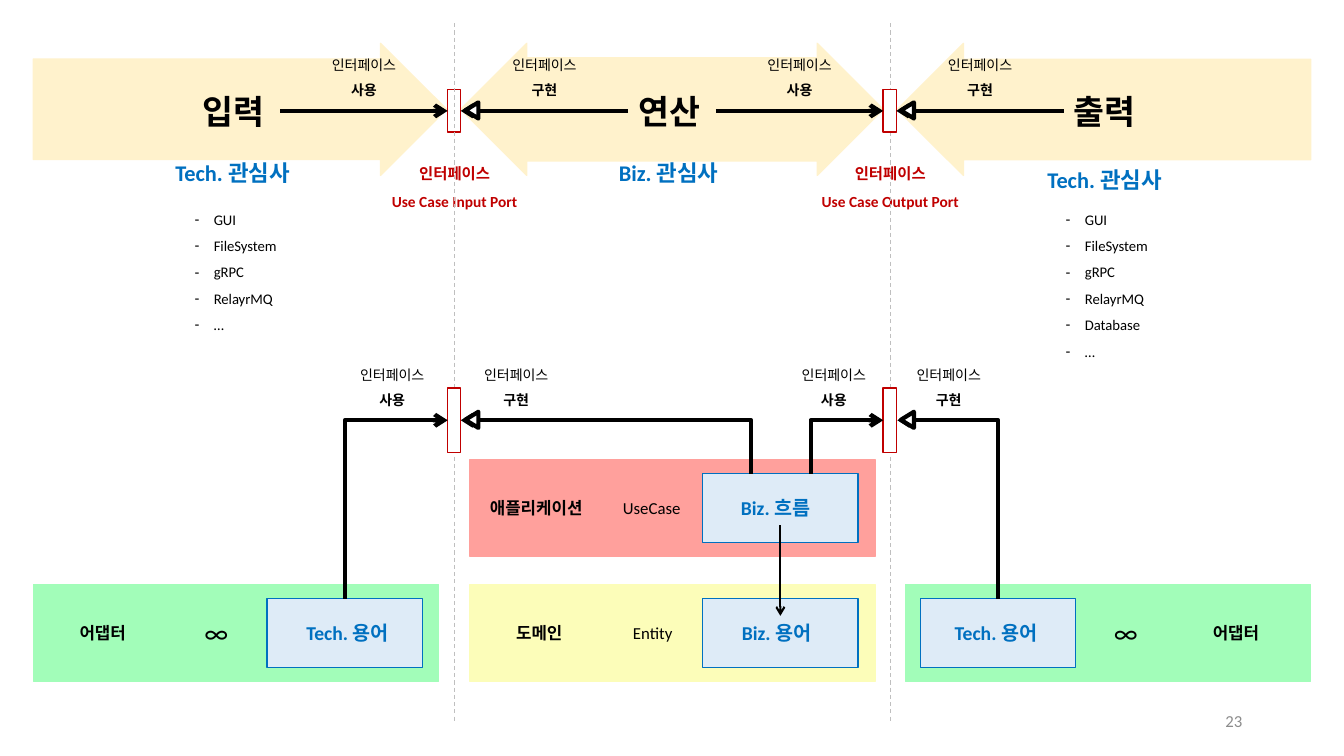
from lxml.etree import SubElement
from pptx import Presentation
from pptx.dml.color import RGBColor
from pptx.enum.dml import MSO_LINE
from pptx.enum.shapes import MSO_CONNECTOR, MSO_SHAPE
from pptx.enum.text import MSO_ANCHOR, MSO_AUTO_SIZE, PP_ALIGN
from pptx.oxml.ns import qn
from pptx.util import Inches, Pt

HUES = {
    "black": "000000", "white": "FFFFFF", "blue": "0070C0", "red": "C00000",
    "cream": "FFF2CC", "green": "A2FDB9", "lemon": "FCFDB9", "rose": "FFA09C",
    "sky": "DEEBF7", "dash": "BFBFBF", "gray": "8C8C8C",
}
FONT = "Calibri"
STEP = 43.2
AXIS = 45.1
MID = 11
BEND = 41.7


def cell(count):
    """Turn a count of tenth-inch grid cells into a length."""
    return Inches(count / 10)


def hue(name):
    """Look up a colour by name."""
    return RGBColor.from_string(HUES[name])


def place(item, left, top, wide, high):
    """Set the position and size of an item in grid cells."""
    item.left, item.top = cell(left), cell(top)
    item.width, item.height = cell(wide), cell(high)


def style(item, text, size, tint="black", bold=False, align=PP_ALIGN.LEFT,
          space=1.0, wrap=False):
    """Fill a text item and format its runs."""
    frame = item.text_frame
    frame.text = text
    frame.word_wrap = wrap
    frame.auto_size = MSO_AUTO_SIZE.SHAPE_TO_FIT_TEXT
    frame.vertical_anchor = MSO_ANCHOR.TOP
    for para in frame.paragraphs:
        para.alignment = align
        para.line_spacing = space
        para.space_before = Pt(0)
        for run in para.runs:
            run.font.name, run.font.size = FONT, Pt(size)
            run.font.bold = bold
            run.font.color.rgb = hue(tint)


def label(slide, text, left, top, wide, high, size, **look):
    """Add a text box."""
    item = slide.shapes.add_textbox(0, 0, 0, 0)
    place(item, left, top, wide, high)
    style(item, text, size, **look)
    return item


def block(slide, kind, left, top, wide, high, fill, edge=None, width=1):
    """Add a preset shape with a plain fill and outline."""
    item = slide.shapes.add_shape(kind, cell(left), cell(top), cell(wide), cell(high))
    item.shadow.inherit = False
    item.fill.solid()
    item.fill.fore_color.rgb = hue(fill)
    item.line.color.rgb = hue(edge or fill)
    item.line.width = Pt(width)
    return item


def link(slide, start, end, kind=MSO_CONNECTOR.STRAIGHT, tint="black", width=3, tip=True):
    """Add a connector, with an arrow tip unless told otherwise."""
    item = slide.shapes.add_connector(kind, *map(cell, start + end))
    item.line.color.rgb = hue(tint)
    item.line.width = Pt(width)
    props = item.element.spPr
    if tip:
        SubElement(props.find(qn("a:ln")), qn("a:tailEnd"), type="arrow")
    SubElement(props, qn("a:effectLst"))
    return item


def elbow(slide, start, end):
    """Add an arrow that rises from its start and then turns to its end."""
    (ax, ay), (bx, by) = start, end
    right = bx > ax
    cx, cy = (ax + bx) / 2, (ay + by) / 2
    rise, run = (ay - by) / 2, abs(bx - ax) / 2
    side = rise if right else -rise
    item = link(slide, (cx + side, cy + run), (cx - side, cy - run), MSO_CONNECTOR.ELBOW)
    props = item.element.spPr
    props.find(qn("a:prstGeom")).set("prst", "bentConnector2")
    props.find(qn("a:xfrm")).set("rot", "5400000" if right else "16200000")


def port(slide, left, top, high):
    """Add the red frame of a port."""
    block(slide, MSO_SHAPE.RECTANGLE, left, top, 1.3, high, "white", "red")


def barb(slide, left, mid):
    """Add a hollow tip that points left."""
    item = block(slide, MSO_SHAPE.ISOSCELES_TRIANGLE, left, mid - 0.7, 1.6, 1.3,
                 "white", "black", 3)
    item.rotation = 270


def note(slide, verb, left, top):
    """Add a two-line interface note with a bold verb."""
    item = label(slide, f"인터페이스\n{verb}", left, top, 9, 5.8, 10,
                 align=PP_ALIGN.CENTER, space=1.5)
    item.text_frame.paragraphs[1].runs[0].font.bold = True


def bullets(item, words, left, high):
    """Fill a body placeholder with a dashed list."""
    place(item, left, 19.5, 10.3, high)
    style(item, "\n".join(words), 10.5, space=1.5)
    for para in item.text_frame.paragraphs:
        props = para._p.get_or_add_pPr()
        props.set("marL", str(Inches(0.19)))
        props.set("indent", str(-Inches(0.19)))
        SubElement(props, qn("a:buChar"), char="-")


def layer(slide, left, top, fill, name, name_box, kind, kind_box, size, term, term_box, card):
    """Add a coloured layer with its name, its kind and its term card."""
    block(slide, MSO_SHAPE.RECTANGLE, left, top, 40.2, 9.6, fill)
    block(slide, MSO_SHAPE.RECTANGLE, card, top + 1.4, 15.4, 6.8, "sky", "blue")
    label(slide, term, term_box[0], top + 3.1, term_box[1], 3.4, 14,
          tint="blue", bold=True, wrap=term.startswith("Tech"))
    lift = 2.6 if size > 12 else 3.3
    label(slide, kind, kind_box[0], top + lift, kind_box[1], 3, size)
    label(slide, name, name_box[0], top + 3.3, name_box[1], 3, 12, bold=True)


def flow(slide, title):
    """Draw the upper band of input, work and output."""
    for text, left, wide in (("Input", 37.6, 15), ("Output", 80.2, 16.2)):
        label(slide, f"인터페이스\nUse Case {text} Port", left, 14.9, wide, 6.3, 11,
              tint="red", bold=True, align=PP_ALIGN.CENTER, space=1.5)
    for kind, left, wide, neck, turn in (
            (MSO_SHAPE.LEFT_RIGHT_ARROW, 45.7, 41.9, 0.78, 0),
            (MSO_SHAPE.RIGHT_ARROW, 89, 41, 0.76, 180),
            (MSO_SHAPE.RIGHT_ARROW, 3.3, 41, 0.76, 0)):
        item = block(slide, kind, left, 4.3, wide, 13.1, "cream")
        item.adjustments[0], item.adjustments[1] = neck, 0.5
        item.rotation = turn
    port(slide, 44.4, 8.9, 4.2)
    for col in (AXIS, AXIS + STEP):
        line = link(slide, (col, 2.3), (col, 71.6), tint="dash", width=0.75, tip=False)
        line.line.dash_style = MSO_LINE.DASH
    port(slide, 44.4 + STEP, 8.9, 4.2)
    place(title, 62.3, 8.5, 8.8, 5)
    style(title, "연산", 24, bold=True)
    title.element.getparent().append(title.element)
    for text, left in (("입력", 19.1), ("출력", 105.5)):
        label(slide, text, left, 8.5, 8.8, 5, 24, bold=True)
    for text, left, top in (("Tech.", 16.4, 15.3), ("Biz.", 60.4, 15.3),
                            ("Tech.", 102.9, 16)):
        label(slide, f"{text} 관심사", left, top, 14, 3.7, 16, tint="blue", bold=True)
    for shift in (0, STEP):
        link(slide, (27.8 + shift, MID), (44.4 + shift, MID))
        link(slide, (62.3 + shift, MID), (45.7 + shift, MID))
        barb(slide, 46 + shift, MID)
        note(slide, "사용", 31.6 + shift, 4.3)
        note(slide, "구현", 49.5 + shift, 4.3)


def stack(slide):
    """Draw the lower layers and the arrows between them."""
    layer(slide, 46.6, 58, "lemon", "도메인", (50.2, 7.1), "Entity", (61.8, 6), 12,
          "Biz. 용어", (72.6, 9.6), 69.7)
    layer(slide, 46.6, 45.6, "rose", "애플리케이션", (47.6, 12.1), "UseCase", (60.8, 7.8), 12,
          "Biz. 흐름", (72.5, 9.9), 69.7)
    layer(slide, 3.3, 58, "green", "어댑터", (6.9, 7.1), "∞", (19.3, 4.4), 20,
          "Tech. 용어", (29.4, 10.6), 26.5)
    layer(slide, 89.8, 58, "green", "어댑터", (119.3, 7.1), "∞", (109.5, 4.4), 20,
          "Tech. 용어", (93.7, 10.6), 91.3)
    link(slide, (77.4, 52.1), (77.4, 61.1), width=1.5)
    for shift in (0, STEP):
        port(slide, 44.4 + shift, 38.5, 6.4)
    for start, tip in (((34.2, 59.4), 44.4), ((74.5, 47), 45.7),
                       ((80.4, 47), 87.6), ((99, 59.4), 89)):
        elbow(slide, start, (tip, BEND))
    for shift in (0, STEP):
        barb(slide, 46 + shift, BEND)
    for verb, left in (("사용", 34.4), ("사용", 78.2), ("구현", 46.7), ("구현", 89.6)):
        note(slide, verb, left, 35)


def main():
    """Build the slide and save it."""
    deck = Presentation()
    deck.slide_width, deck.slide_height = Inches(13.33), Inches(7.5)
    slide = deck.slides.add_slide(deck.slide_layouts[3])
    title, near, far = slide.placeholders
    flow(slide, title)
    shared = ["GUI", "FileSystem", "gRPC", "RelayrMQ"]
    bullets(near, shared + ["…"], 18.3, 14)
    bullets(far, shared + ["Database", "…"], 104.7, 16.6)
    stack(slide)
    page = label(slide, "23", 94.2, 69.5, 30, 4, 12, tint="gray",
                 align=PP_ALIGN.RIGHT, wrap=True)
    page.text_frame.auto_size = MSO_AUTO_SIZE.NONE
    page.text_frame.vertical_anchor = MSO_ANCHOR.MIDDLE
    deck.save("out.pptx")


if __name__ == "__main__":
    main()
